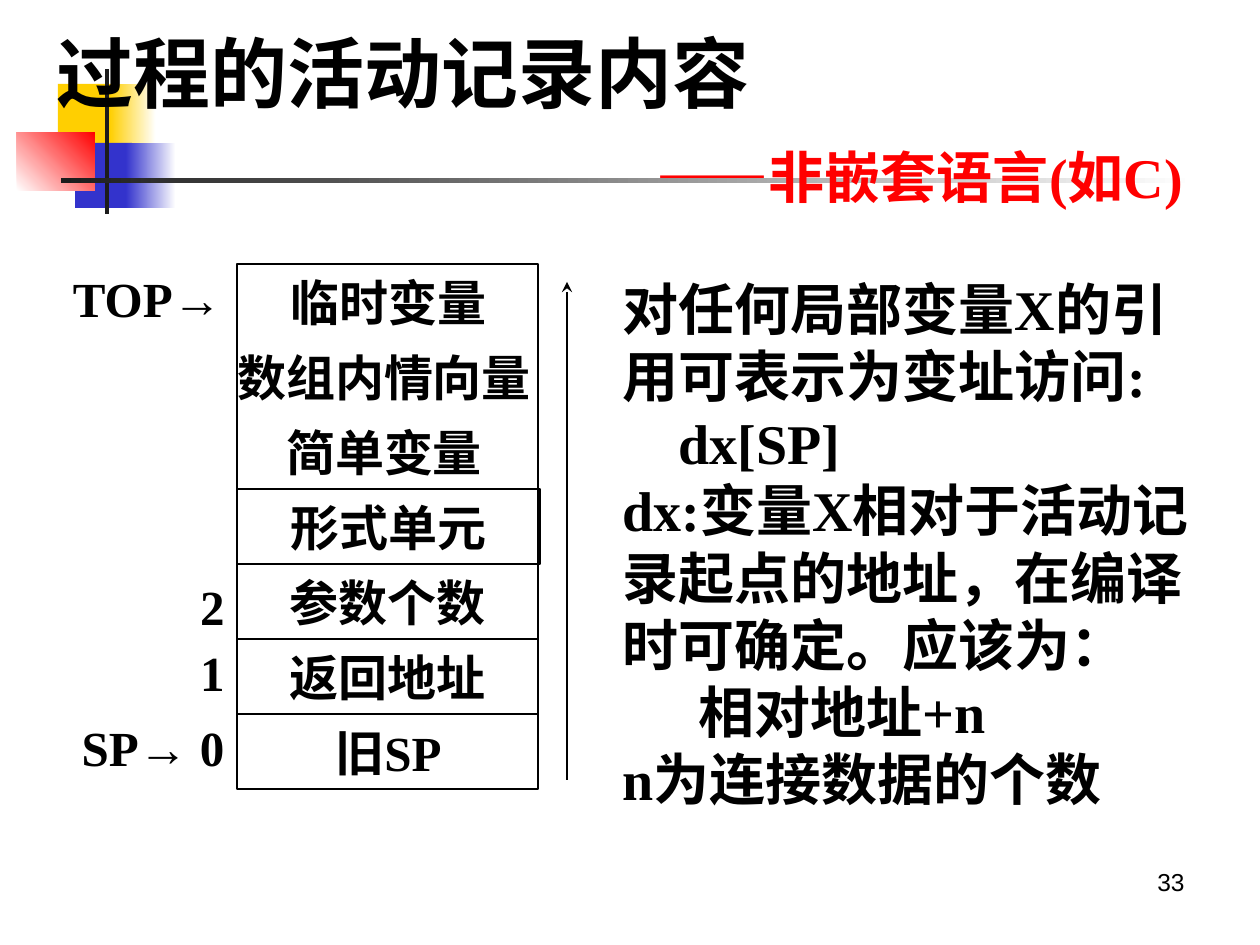
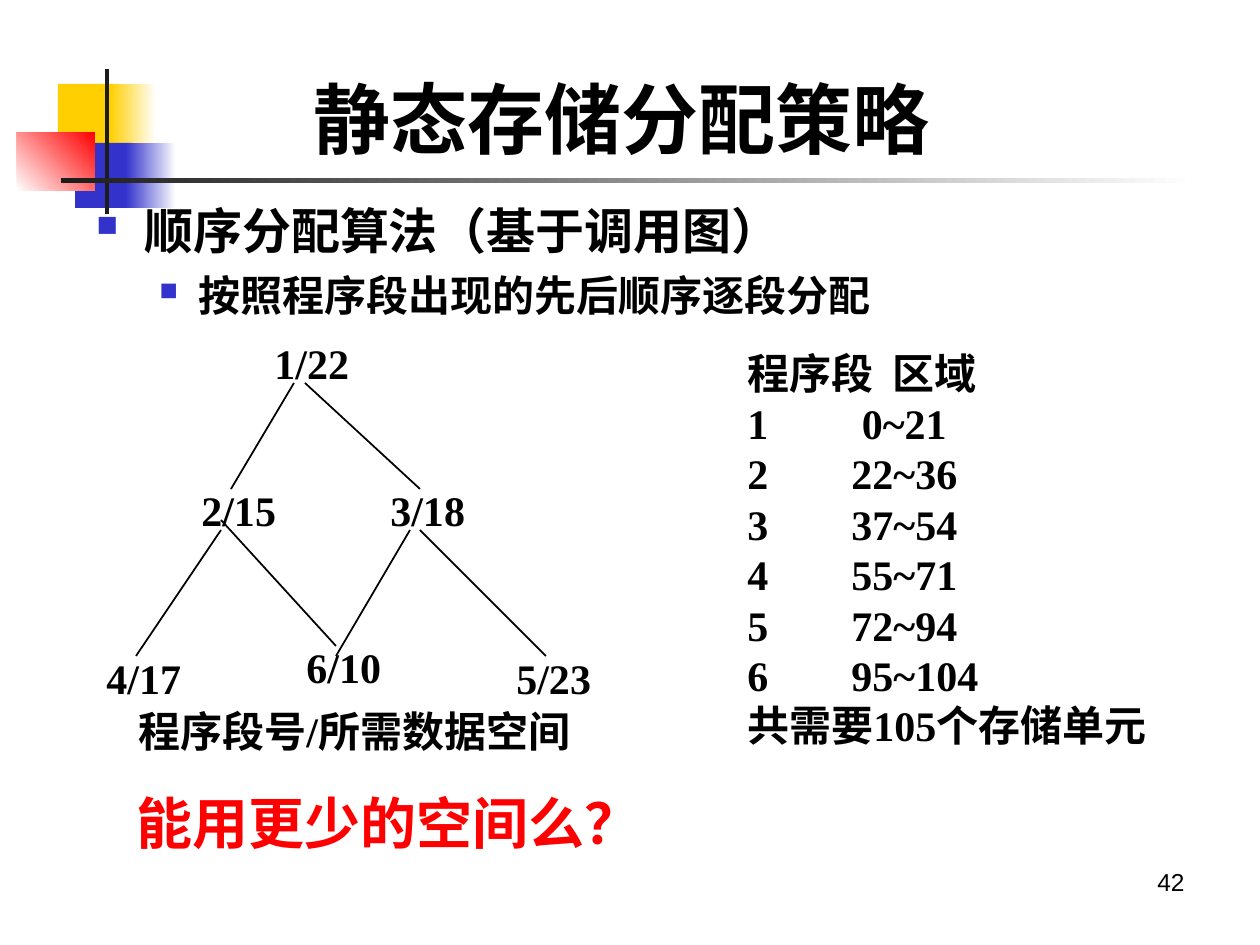
"""Build two lecture slides on activation records and static storage allocation."""
from lxml import etree
from pptx import Presentation, util as u
from pptx.dml.color import RGBColor
from pptx.enum import shapes, text
from pptx.oxml.ns import qn

SCALE = 914400 / 126
BLACK, WHITE = RGBColor(0, 0, 0), RGBColor(255, 255, 255)
RED, BLUE = RGBColor(255, 0, 0), RGBColor(0x33, 0x33, 0xCC)
GOLD, DARK = RGBColor(0xFF, 0xCF, 0x01), RGBColor(0x1C, 0x1C, 0x1C)
LEFT, MID, RIGHT = text.PP_ALIGN.LEFT, text.PP_ALIGN.CENTER, text.PP_ALIGN.RIGHT
TOP, CORE = text.MSO_ANCHOR.TOP, text.MSO_ANCHOR.MIDDLE
SERIF, SANS = "Times New Roman", "Arial"


def px(*vals):
    return [u.Emu(round(val * SCALE)) for val in vals]


def write(shape, lines, size=24, color=BLACK, align=LEFT, anchor=TOP,
          wrap=True, bold=True, face=SERIF):
    frame = shape.text_frame
    look = {"word_wrap": wrap, "vertical_anchor": anchor,
            "auto_size": text.MSO_AUTO_SIZE.NONE}
    for name, val in look.items():
        setattr(frame, name, val)
    for num, line in enumerate(lines):
        par = frame.add_paragraph() if num else frame.paragraphs[0]
        fmt = {"alignment": align, "space_before": u.Pt(0),
               "line_spacing": u.Pt(size * 1.2)}
        for name, val in fmt.items():
            setattr(par, name, val)
        for part in line.partition("→"):
            if part:
                run = par.add_run()
                run.text = part
                font = {"size": u.Pt(size), "bold": bold,
                        "name": SANS if part == "→" else face}
                for name, val in font.items():
                    setattr(run.font, name, val)
                run.font.color.rgb = color
    return frame.paragraphs


deck = Presentation()
deck.slide_width, deck.slide_height = px(1260, 945)
plan = deck.slide_layouts[5]
for spot in list(plan.placeholders)[1:]:
    spot.element.getparent().remove(spot.element)

rec = deck.slides.add_slide(plan)
bands = [
    (58, 84, 61, 66, GOLD, None, 0),
    (110, 84, 46, 66, GOLD, WHITE, 0),
    (75, 143, 57, 65, BLUE, None, 0),
    (126, 143, 50, 65, BLUE, WHITE, 0),
    (17, 132, 78, 59, WHITE, RED, 45),
    (105, 69, 4, 145, DARK, None, 0),
    (61, 178, 1134, 5, DARK, WHITE, 0),
]
decor = []
for *box, start, end, angle in bands:
    band = rec.shapes.add_shape(shapes.MSO_SHAPE.RECTANGLE, *px(*box))
    band.shadow.inherit = False
    band.line.fill.background()
    if end is None:
        band.fill.solid()
        band.fill.fore_color.rgb = start
    else:
        band.fill.gradient()
        band.fill.gradient_angle = angle
        for stop, tone in zip(band.fill.gradient_stops, (start, end)):
            stop.color.rgb = tone
    decor.append(band)
for band in decor:
    plan.shapes.element.append(band.element)

tree = deck.slides.add_slide(plan)
heads = [
    (rec, (44, 17, 1208, 201), ["过程的活动记录内容", "——非嵌套语言(如C)"], 33),
    (tree, (301, 60, 646, 115), ["静态存储分配策略"], 42),
]
for slide, box, lines, page in heads:
    head = slide.shapes.title
    head.left, head.top, head.width, head.height = px(*box)
    write(head, lines, 44, anchor=CORE)
    foot = slide.shapes.add_textbox(*px(903, 861, 294, 66))
    write(foot, [str(page)], 14, align=RIGHT, bold=False, face=SANS)

rec.shapes.title.text_frame.margin_right = px(69)[0]
sub = rec.shapes.title.text_frame.paragraphs[1]
sub.alignment = RIGHT
sub.runs[0].font.size = u.Pt(32)
sub.runs[0].font.color.rgb = RED

note = rec.shapes.add_textbox(*px(610, 268, 620, 535))
pars = write(note, [
    "对任何局部变量X的引用可表示为变址访问:",
    "dx[SP]",
    "dx:变量X相对于活动记录起点的地址，在编译时可确定。应该为：",
    "相对地址+n",
    "n为连接数据的个数",
], 32)
for num, inset in ((1, 56), (3, 76)):
    pars[num]._p.get_or_add_pPr().set("marL", str(px(inset)[0]))

cells = [
    ("临时变量", 303, False), ("数组内情向量", 294, False),
    ("简单变量", 294, False), ("形式单元", 303, True),
    ("参数个数", 301, True), ("返回地址", 301, True), ("旧SP", 303, False),
]
frames = [((237, 264, 301, 525), None)]
for row, (name, width, edge) in enumerate(cells):
    box = (237, 264 + 75 * row, width, 75)
    if edge:
        frames.append((box, name))
    else:
        cell = rec.shapes.add_textbox(*px(*box))
        write(cell, [name], 28, align=MID, anchor=CORE, wrap=False)
for box, name in frames:
    cell = rec.shapes.add_shape(shapes.MSO_SHAPE.RECTANGLE, *px(*box))
    cell.shadow.inherit = False
    cell.fill.background()
    cell.line.color.rgb = BLACK
    cell.line.width = u.Pt(1.5)
    if name:
        write(cell, [name], 28, align=MID, anchor=CORE, wrap=False)

marks = [
    ("TOP→ ", (84, 265, 139, 66), MID), ("2", (158, 573, 79, 66), RIGHT),
    ("1", (158, 639, 79, 66), RIGHT), ("SP→ 0", (83, 714, 140, 66), MID),
]
for name, box, align in marks:
    mark = rec.shapes.add_textbox(*px(*box))
    write(mark, [name], 28, align=align, anchor=CORE, wrap=False)

body = tree.shapes.add_textbox(*px(84, 194, 1123, 147))
top, low = write(body, ["顺序分配算法（基于调用图）", "按照程序段出现的先后顺序逐段分配"], 28)
low.level = 1
low.space_before = u.Pt(6)
low.line_spacing = u.Pt(28.8)
low.runs[0].font.size = u.Pt(24)
for par, inset, hang in ((top, 48, 48), (low, 102, 39)):
    prop = par._p.get_or_add_pPr()
    prop.set("marL", str(px(inset)[0]))
    prop.set("indent", str(-px(hang)[0]))
    tint = etree.SubElement(prop, qn("a:buClr"))
    etree.SubElement(tint, qn("a:srgbClr"), val=str(BLUE))
    etree.SubElement(prop, qn("a:buSzPct"), val="60000")
    etree.SubElement(prop, qn("a:buChar"), char="■")

nodes = [
    ("1/22", 262, 331), ("2/15", 189, 478), ("3/18", 378, 478),
    ("4/17", 94, 646), ("6/10", 294, 635), ("5/23", 504, 646),
]
for name, left, high in nodes:
    node = tree.shapes.add_textbox(*px(left, high, 126, 63))
    write(node, [name])

links = [(tree, ends, 1) for ends in (
    (294, 383, 231, 489), (305, 383, 420, 489), (221, 530, 136, 656),
    (221, 520, 336, 646), (410, 530, 336, 656), (420, 530, 546, 656))]
links.append((rec, (567, 780, 567, 282), 1.5))
for slide, ends, width in links:
    link = slide.shapes.add_connector(shapes.MSO_CONNECTOR.STRAIGHT, *px(*ends))
    link.line.color.rgb = BLACK
    link.line.width = u.Pt(width)
    if slide is rec:
        etree.SubElement(link.line._get_or_add_ln(), qn("a:tailEnd"), type="stealth")
    etree.SubElement(link.element.spPr, qn("a:effectLst"))

spans = [" 0~21", "22~36", "37~54", "55~71", "72~94", "95~104"]
area = tree.shapes.add_textbox(*px(735, 341, 451, 416))
pars = write(area, ["程序段\t区域", *spans, "共需要105个存储单元"])
for num, par in enumerate(pars[:-1]):
    prop = par._p.get_or_add_pPr()
    inset = px(104 if num else 145)[0]
    prop.set("marL", str(inset))
    prop.set("indent", str(-inset))
    if num:
        etree.SubElement(prop, qn("a:buFont"), typeface=SERIF)
        etree.SubElement(prop, qn("a:buAutoNum"), type="arabicPlain")

write(tree.shapes.add_textbox(*px(126, 699, 483, 63)), ["程序段号/所需数据空间"])
write(tree.shapes.add_textbox(*px(124, 782, 636, 81)), ["能用更少的空间么？"], 32, RED)
deck.save("out.pptx")
